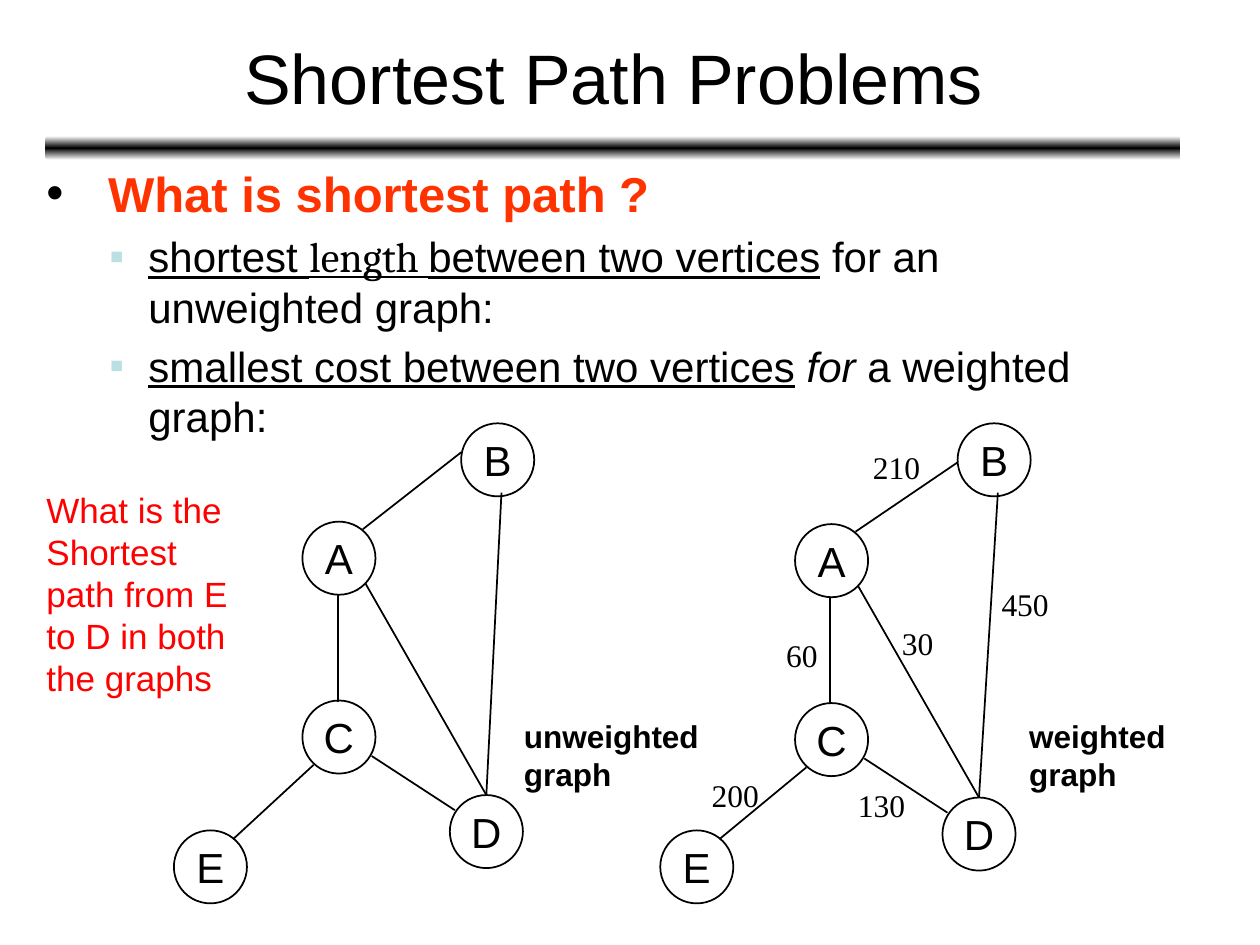
from dataclasses import dataclass
from typing import NamedTuple, Optional

from lxml.etree import SubElement
from pptx import Presentation
from pptx.dml.color import RGBColor
from pptx.enum.shapes import MSO_CONNECTOR, MSO_SHAPE
from pptx.enum.text import MSO_ANCHOR, MSO_AUTO_SIZE, PP_ALIGN
from pptx.oxml.ns import qn
from pptx.util import Inches, Pt

BLACK = RGBColor(0x00, 0x00, 0x00)
WHITE = RGBColor(0xFF, 0xFF, 0xFF)
RED = RGBColor(0xFF, 0x00, 0x00)
ORANGE = RGBColor(0xFF, 0x33, 0x00)
PALE_BLUE = RGBColor(0xBB, 0xE0, 0xE3)

COLUMNS, ROWS = 100, 75
WIDTH, HEIGHT = Inches(10), Inches(7.5)
NODE_SIZE = 5.8


class Point(NamedTuple):
    col: float
    row: float

    def __add__(self, other):
        return Point(self.col + other[0], self.row + other[1])


class Box(NamedTuple):
    col: float
    row: float
    cols: float
    rows: float


class Edge(NamedTuple):
    start: str
    start_offset: Point
    end: str
    end_offset: Point


class Weight(NamedTuple):
    text: str
    col: float
    row: float
    cols: float = 5.8


class Span(NamedTuple):
    text: str
    underline: bool = False
    italic: bool = False
    font: Optional[str] = None


class Bullet(NamedTuple):
    char: str
    color: RGBColor
    margin: float
    hanging: float


@dataclass
class Graph:
    nodes: dict[str, Point]
    edge_ab_end: Point
    caption: str
    caption_box: Box
    weights: tuple[Weight, ...] = ()


EDGES = (
    Edge("D", Point(2.9, 0), "B", Point(3.2, 5.5)),
    Edge("A", Point(5, 4.9), "D", Point(2.9, 0)),
    Edge("C", Point(2.8, 0.1), "A", Point(2.8, 5.8)),
    Edge("E", Point(4.7, 0.7), "C", Point(0.9, 5.1)),
    Edge("C", Point(5.5, 4.4), "D", Point(0.4, 1.2)),
)

GRAPHS = (
    Graph(
        {"B": Point(36.6, 33.6), "D": Point(35.7, 63.1), "C": Point(24, 55.6),
         "A": Point(24, 41.4), "E": Point(13.8, 65.9)},
        Point(0, 2.3), "unweighted graph", Box(40.6, 56.4, 16.5, 7),
    ),
    Graph(
        {"B": Point(76, 33.6), "D": Point(74.8, 63.3), "C": Point(63.1, 55.8),
         "A": Point(63.1, 41.6), "E": Point(52.4, 65.9)},
        Point(0, 3.1), "weighted graph", Box(80.7, 56.4, 15.7, 7),
        (Weight("200", 55.5, 61.1), Weight("60", 61.4, 50, 4.5),
         Weight("130", 67.1, 61.9), Weight("30", 70.6, 49, 4.5),
         Weight("450", 78.5, 45.9), Weight("210", 68.3, 35.1)),
    ),
)

DOT = Bullet("•", BLACK, 0.49, 0.49)
SQUARE = Bullet("▪", PALE_BLUE, 0.81, 0.31)
DEFINITIONS = (
    (Span("shortest ", True), Span("length ", True, font="Cambria"),
     Span("between two vertices", True), Span(" for an unweighted graph:")),
    (Span("smallest cost between two vertices", True),
     Span(" for", italic=True), Span(" a weighted graph:")),
)


def across(cols: float) -> int:
    return round(WIDTH * cols / COLUMNS)


def down(rows: float) -> int:
    return round(HEIGHT * rows / ROWS)


def place(box: Box) -> tuple[int, int, int, int]:
    return across(box.col), down(box.row), across(box.cols), down(box.rows)


def set_font(paragraph, size: float, color=BLACK, name: str = "Arial", bold: bool = False) -> None:
    font = paragraph.font
    font.size, font.name, font.bold = Pt(size), name, bold
    font.color.rgb = color


def add_label(slide, box: Box, text: str, size: float, color=BLACK,
              name: str = "Arial", bold: bool = False, wrap: bool = True) -> None:
    frame = slide.shapes.add_textbox(*place(box)).text_frame
    frame.word_wrap = wrap
    frame.auto_size = MSO_AUTO_SIZE.SHAPE_TO_FIT_TEXT
    frame.text = text
    set_font(frame.paragraphs[0], size, color, name, bold)


def set_bullet(paragraph, bullet: Bullet) -> None:
    properties = paragraph._p.get_or_add_pPr()
    properties.set("marL", str(Inches(bullet.margin)))
    properties.set("indent", str(-Inches(bullet.hanging)))
    color = SubElement(properties, qn("a:buClr"))
    SubElement(color, qn("a:srgbClr"), val=str(bullet.color))
    SubElement(properties, qn("a:buFont"), typeface="Arial")
    SubElement(properties, qn("a:buChar"), char=bullet.char)


def add_rule(slide, box: Box) -> None:
    rule = slide.shapes.add_shape(MSO_SHAPE.ROUNDED_RECTANGLE, *place(box))
    rule.shadow.inherit = False
    rule.line.fill.background()
    rule.fill.gradient()
    rule.fill.gradient_angle = 270
    stops = rule._element.spPr.find(qn("a:gradFill")).find(qn("a:gsLst"))
    stops.clear()
    for position, color in ((0, WHITE), (50000, BLACK), (100000, WHITE)):
        stop = SubElement(stops, qn("a:gs"), pos=str(position))
        SubElement(stop, qn("a:srgbClr"), val=str(color))


def add_definitions(slide, box: Box) -> None:
    frame = slide.shapes.add_textbox(*place(box)).text_frame
    frame.word_wrap = True
    question = frame.paragraphs[0]
    question.text = "What is shortest path ?"
    set_font(question, 28, ORANGE, bold=True)
    set_bullet(question, DOT)
    for spans in DEFINITIONS:
        definition = frame.add_paragraph()
        definition.level = 1
        definition.space_before = Pt(4.8)
        set_font(definition, 24)
        set_bullet(definition, SQUARE)
        for span in spans:
            run = definition.add_run()
            run.text = span.text
            run.font.underline = span.underline
            run.font.italic = span.italic
            if span.font:
                run.font.name = span.font


def add_node(slide, name: str, corner: Point) -> None:
    node = slide.shapes.add_shape(MSO_SHAPE.OVAL, *place(Box(*corner, NODE_SIZE, NODE_SIZE)))
    node.shadow.inherit = False
    node.fill.background()
    node.line.color.rgb = BLACK
    node.line.width = Pt(1)
    frame = node.text_frame
    frame.word_wrap = False
    frame.vertical_anchor = MSO_ANCHOR.MIDDLE
    frame.text = name
    frame.paragraphs[0].alignment = PP_ALIGN.CENTER
    set_font(frame.paragraphs[0], 24)


def add_edge(slide, start: Point, end: Point) -> None:
    edge = slide.shapes.add_connector(MSO_CONNECTOR.STRAIGHT, across(start.col), down(start.row),
                                      across(end.col), down(end.row))
    edge.line.color.rgb = BLACK
    edge.line.width = Pt(1)
    SubElement(edge._element.spPr, qn("a:effectLst"))


def add_graph(slide, graph: Graph) -> None:
    for name, corner in graph.nodes.items():
        add_node(slide, name, corner)
    for edge in (*EDGES, Edge("A", Point(4.8, 0.6), "B", graph.edge_ab_end)):
        add_edge(slide, graph.nodes[edge.start] + edge.start_offset,
                 graph.nodes[edge.end] + edge.end_offset)
    for weight in graph.weights:
        add_label(slide, Box(weight.col, weight.row, weight.cols, 4), weight.text, 18,
                  name="Times New Roman", wrap=False)
    add_label(slide, graph.caption_box, graph.caption, 18, bold=True)


def main() -> None:
    deck = Presentation()
    deck.slide_width, deck.slide_height = WIDTH, HEIGHT
    slide = deck.slides.add_slide(deck.slide_layouts[5])
    title = slide.shapes.title
    title.left, title.top, title.width, title.height = place(Box(3.7, 1.1, 90, 9.9))
    title.text_frame.text = "Shortest Path Problems"
    title.text_frame.vertical_anchor = MSO_ANCHOR.MIDDLE
    title.text_frame.paragraphs[0].alignment = PP_ALIGN.CENTER
    set_font(title.text_frame.paragraphs[0], 40)
    add_rule(slide, Box(3.6, 10.8, 90.1, 1.9))
    add_definitions(slide, Box(2.7, 12.5, 90.6, 39.3))
    for graph in GRAPHS:
        add_graph(slide, graph)
    add_label(slide, Box(2.7, 38.3, 16.9, 17.8),
              "What is the Shortest path from E to D in both the graphs", 20, RED)
    deck.save("out.pptx")


if __name__ == "__main__":
    main()
